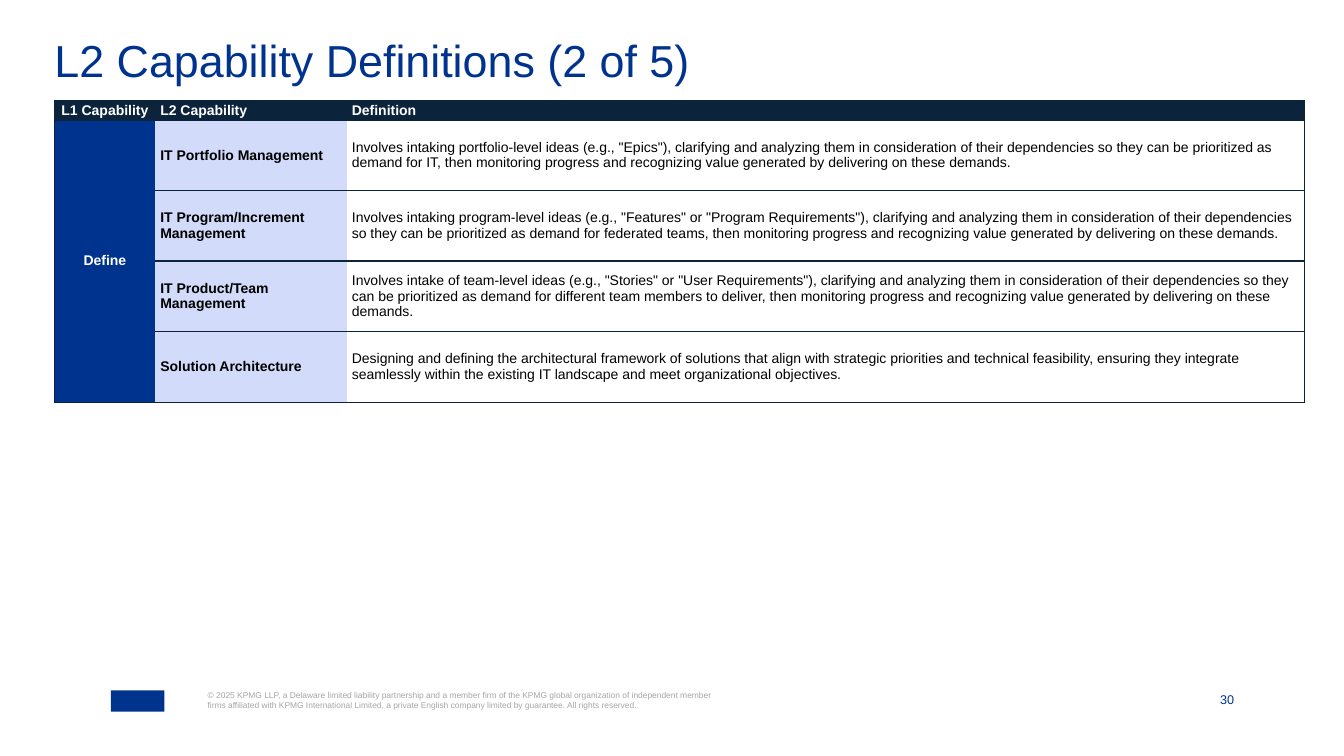
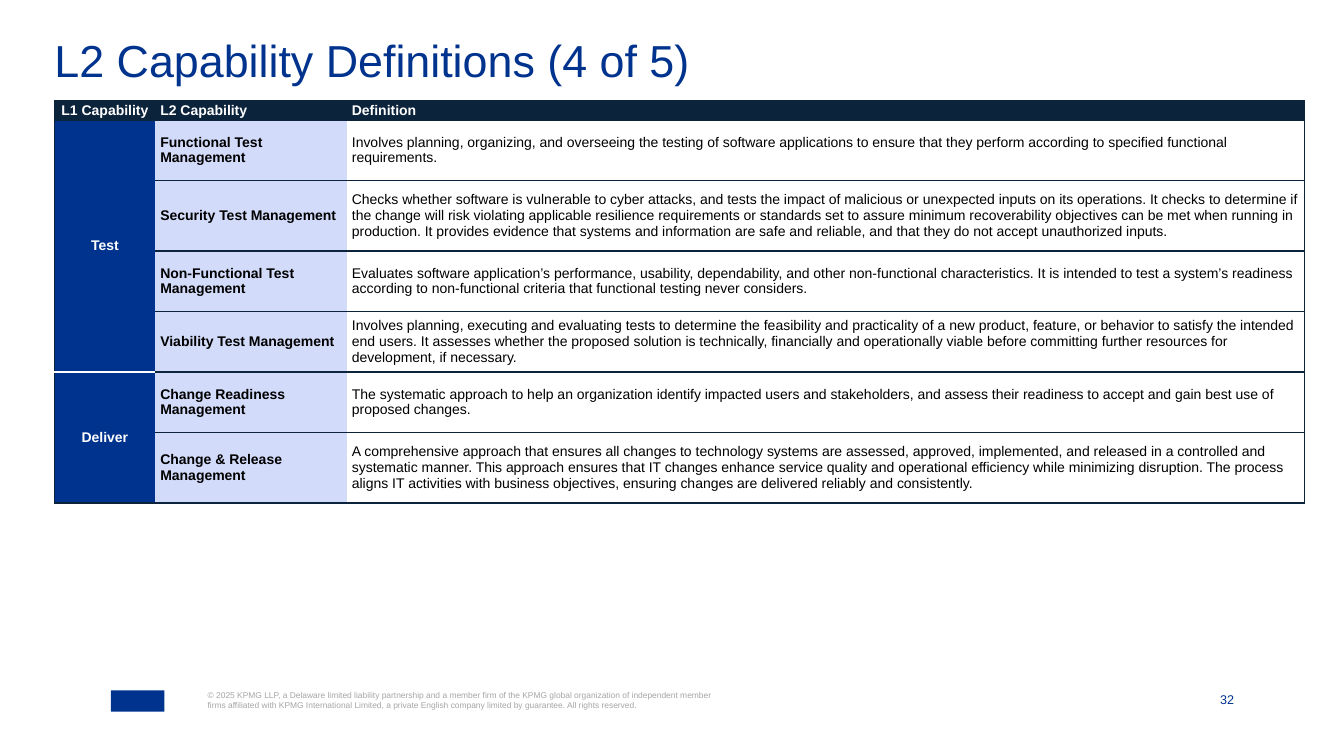
"""Build the L2 capability definition slides."""
from dataclasses import dataclass

from lxml.etree import SubElement
from pptx import Presentation
from pptx.dml.color import RGBColor
from pptx.enum.shapes import MSO_SHAPE as Preset
from pptx.enum.text import MSO_ANCHOR as Anchor, PP_ALIGN as Align
from pptx.oxml.ns import qn
from pptx.util import Inches, Pt

BLUE = RGBColor(0x00, 0x33, 0x8D)
NAVY = RGBColor(0x0C, 0x23, 0x3C)
PALE = RGBColor(0xD2, 0xDB, 0xF9)
GREY = RGBColor(0xA6, 0xA6, 0xA6)
WHITE = RGBColor(0xFF, 0xFF, 0xFF)
BLACK = RGBColor(0x00, 0x00, 0x00)
FONT = "Arial"
LEFT = 0.54
COLUMNS = (1, 1.9, 9.5)
HEADER_HEIGHT = 0.19
HEADINGS = ("L1 Capability", "L2 Capability", "Definition")
COPYRIGHT = (
    "© 2025 KPMG LLP, a Delaware limited liability partnership and a member firm of the KPMG global "
    "organization of independent member firms affiliated with KPMG International Limited, a private "
    "English company limited by guarantee. All rights reserved."
)


@dataclass(frozen=True)
class Capability:
    name: str
    definition: str
    height: float


@dataclass(frozen=True)
class Group:
    name: str
    capabilities: tuple[Capability, ...]


@dataclass(frozen=True)
class Page:
    position: int
    number: int
    groups: tuple[Group, ...]


PAGES = (
    Page(2, 30, (
        Group("Define", (
            Capability(
                "IT Portfolio Management",
                'Involves intaking portfolio-level ideas (e.g., "Epics"), clarifying and analyzing them in '
                "consideration of their dependencies so they can be prioritized as demand for IT, then "
                "monitoring progress and recognizing value generated by delivering on these demands.",
                0.7),
            Capability(
                "IT Program/Increment Management",
                'Involves intaking program-level ideas (e.g., "Features" or "Program Requirements"), '
                "clarifying and analyzing them in consideration of their dependencies so they can be "
                "prioritized as demand for federated teams, then monitoring progress and recognizing "
                "value generated by delivering on these demands.",
                0.7),
            Capability(
                "IT Product/Team Management",
                'Involves intake of team-level ideas (e.g., "Stories" or "User Requirements"), clarifying '
                "and analyzing them in consideration of their dependencies so they can be prioritized as "
                "demand for different team members to deliver, then monitoring progress and recognizing "
                "value generated by delivering on these demands.",
                0.7),
            Capability(
                "Solution Architecture",
                "Designing and defining the architectural framework of solutions that align with strategic "
                "priorities and technical feasibility, ensuring they integrate seamlessly within the "
                "existing IT landscape and meet organizational objectives.",
                0.7),
        )),
    )),
    Page(4, 32, (
        Group("Test", (
            Capability(
                "Functional Test Management",
                "Involves planning, organizing, and overseeing the testing of software applications to "
                "ensure that they perform according to specified functional requirements.",
                0.6),
            Capability(
                "Security Test Management",
                "Checks whether software is vulnerable to cyber attacks, and tests the impact of malicious "
                "or unexpected inputs on its operations. It checks to determine if the change will risk "
                "violating applicable resilience requirements or standards set to assure minimum "
                "recoverability objectives can be met when running in production. It provides evidence "
                "that systems and information are safe and reliable, and that they do not accept "
                "unauthorized inputs.",
                0.7),
            Capability(
                "Non-Functional Test Management",
                "Evaluates software application’s performance, usability, dependability, and other "
                "non-functional characteristics. It is intended to test a system’s readiness according to "
                "non-functional criteria that functional testing never considers.",
                0.6),
            Capability(
                "Viability Test Management",
                "Involves planning, executing and evaluating tests to determine the feasibility and "
                "practicality of a new product, feature, or behavior to satisfy the intended end users. It "
                "assesses whether the proposed solution is technically, financially and operationally "
                "viable before committing further resources for development, if necessary.",
                0.6),
        )),
        Group("Deliver", (
            Capability(
                "Change Readiness Management",
                "The systematic approach to help an organization identify impacted users and stakeholders, "
                "and assess their readiness to accept and gain best use of proposed changes.",
                0.6),
            Capability(
                "Change & Release Management",
                "A comprehensive approach that ensures all changes to technology systems are assessed, "
                "approved, implemented, and released in a controlled and systematic manner. This approach "
                "ensures that IT changes enhance service quality and operational efficiency while "
                "minimizing disruption. The process aligns IT activities with business objectives, "
                "ensuring changes are delivered reliably and consistently.",
                0.7),
        )),
    )),
)


def style_text(frame, size: float, color: RGBColor, bold: bool = False, align=Align.LEFT) -> None:
    """Format every run of a text frame."""
    for para in frame.paragraphs:
        para.alignment = align
        for span in para.runs:
            font = span.font
            font.name, font.size, font.bold = FONT, Pt(size), bold
            font.color.rgb = color


def add_text(slide, text: str, area: tuple, size: float, color: RGBColor, align=Align.LEFT, anchor=Anchor.TOP):
    """Add a text box without insets and return its frame."""
    frame = slide.shapes.add_textbox(*map(Inches, area)).text_frame
    frame.margin_left = frame.margin_top = frame.margin_right = frame.margin_bottom = 0
    frame.word_wrap = True
    frame.vertical_anchor = anchor
    frame.text = text
    style_text(frame, size, color, align=align)
    return frame


def set_borders(cell, left=None, right=None, top=NAVY, bottom=NAVY) -> None:
    """Give a cell its four borders, where None hides a side."""
    properties = cell._tc.get_or_add_tcPr()
    for side, color in zip("LRTB", (left, right, top, bottom)):
        line = SubElement(properties, qn(f"a:ln{side}"), w=str(Pt(1)))
        if color is None:
            SubElement(line, qn("a:noFill"))
        else:
            fill = SubElement(line, qn("a:solidFill"))
            SubElement(fill, qn("a:srgbClr"), val=str(color))


def fill_cell(cell, text: str, fill: RGBColor, color: RGBColor, bold: bool = True, align=Align.LEFT, **borders) -> None:
    """Write and format one table cell."""
    set_borders(cell, **borders)
    cell.fill.solid()
    cell.fill.fore_color.rgb = fill
    cell.margin_left = cell.margin_right = Inches(0.05)
    cell.margin_top = cell.margin_bottom = Inches(0.01)
    cell.vertical_anchor = Anchor.MIDDLE
    cell.text_frame.text = text
    style_text(cell.text_frame, 10, color, bold, align)


def add_definitions(slide, groups: tuple[Group, ...]) -> None:
    """Add the table of capability groups."""
    heights = [HEADER_HEIGHT] + [item.height for group in groups for item in group.capabilities]
    area = map(Inches, (LEFT, 1, sum(COLUMNS), sum(heights)))
    table = slide.shapes.add_table(len(heights), len(COLUMNS), *area).table
    table.first_row = table.horz_banding = False
    for column, width in zip(table.columns, COLUMNS):
        column.width = Inches(width)
    for row, height in zip(table.rows, heights):
        row.height = Inches(height)

    sides = ({"left": NAVY}, {}, {"right": NAVY})
    aligns = (Align.CENTER, Align.LEFT, Align.LEFT)
    for index, heading in enumerate(HEADINGS):
        fill_cell(table.cell(0, index), heading, NAVY, WHITE, align=aligns[index], **sides[index])

    start = 1
    for group in groups:
        end = start + len(group.capabilities) - 1
        top = NAVY if group is groups[0] else WHITE
        bottom = NAVY if group is groups[-1] else WHITE
        for index, item in enumerate(group.capabilities, start):
            label = group.name if index == start else ""
            fill_cell(table.cell(index, 0), label, BLUE, WHITE, align=Align.CENTER,
                      left=NAVY, top=top, bottom=bottom)
            fill_cell(table.cell(index, 1), item.name, PALE, BLACK)
            fill_cell(table.cell(index, 2), item.definition, WHITE, BLACK, bold=False, right=NAVY)
        table.cell(start, 0).merge(table.cell(end, 0))
        start = end + 1


def add_footer(slide, number: int) -> None:
    """Add the page number, copyright line and emblem block."""
    add_text(slide, str(number), (11.97, 6.85, 0.27, 0.16), 9, BLUE, Align.RIGHT, Anchor.BOTTOM)
    add_text(slide, COPYRIGHT, (2.06, 6.85, 5.1, 0.2), 6, GREY)
    emblem = slide.shapes.add_shape(Preset.RECTANGLE, *map(Inches, (1.1, 6.85, 0.53, 0.21)))
    emblem.shadow.inherit = False
    emblem.fill.solid()
    emblem.fill.fore_color.rgb = BLUE
    emblem.line.fill.background()


def add_page(deck, page: Page) -> None:
    """Add one definitions slide."""
    slide = deck.slides.add_slide(deck.slide_layouts[6])
    add_footer(slide, page.number)
    title = add_text(slide, f"L2 Capability Definitions ({page.position} of 5)", (LEFT, 0.47, 12.25, 0.49), 32, BLUE)
    title.paragraphs[0].line_spacing = 0.7
    add_definitions(slide, page.groups)


def main() -> None:
    """Build and save the deck."""
    deck = Presentation()
    deck.slide_width, deck.slide_height = Inches(13.33), Inches(7.5)
    for page in PAGES:
        add_page(deck, page)
    deck.save("out.pptx")


if __name__ == "__main__":
    main()
